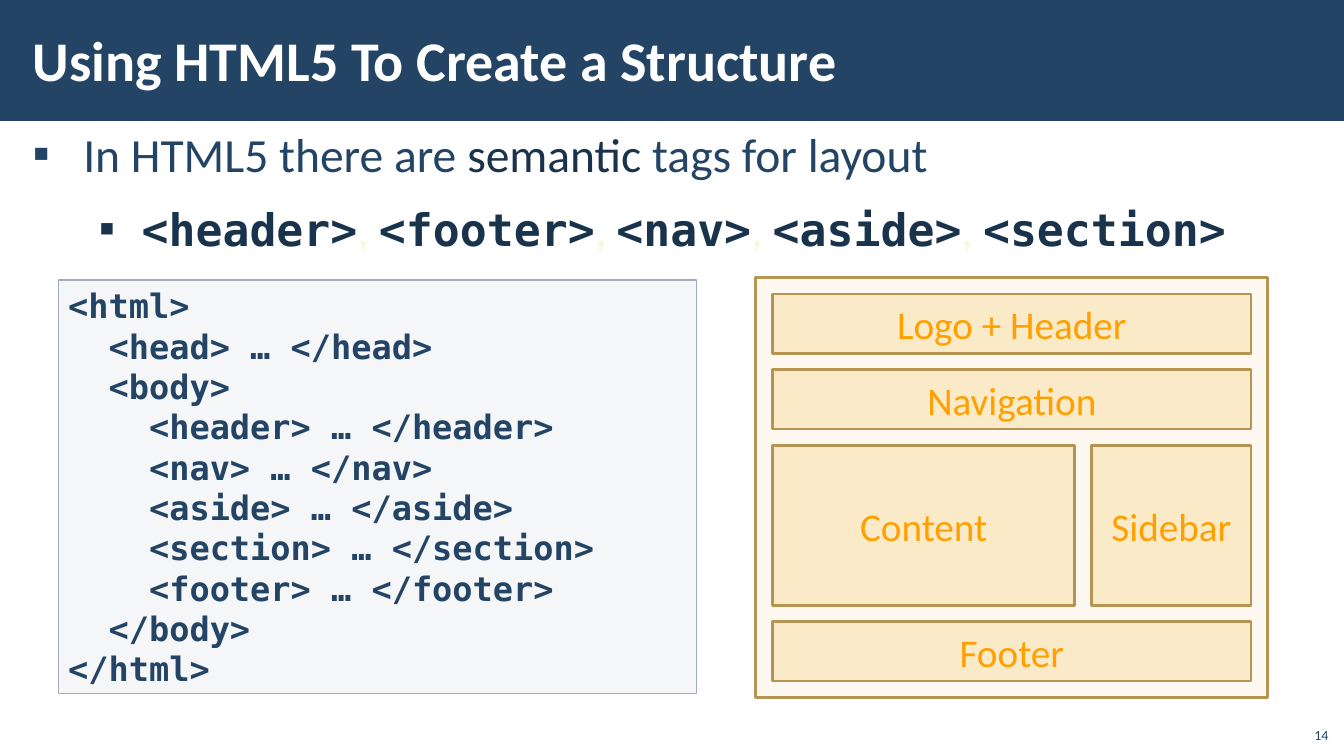
from lxml.etree import SubElement
from pptx import Presentation
from pptx.dml.color import RGBColor
from pptx.enum.shapes import MSO_SHAPE
from pptx.enum.text import MSO_ANCHOR, MSO_AUTO_SIZE, PP_ALIGN
from pptx.oxml.ns import qn
from pptx.util import Cm, Pt

NAVY = "234465"
DARK = "1A334C"
PALE = "EBFFD2"
SAND = "F7C86D"
BRONZE = "B79451"
ORANGE = "FFA000"
SANS = "Calibri"
MONO = "DejaVu Sans Mono"
TAGS = ["<header>", "<footer>", "<nav>", "<aside>", "<section>"]
CODE = """<html>
  <head> … </head>
  <body>
    <header> … </header>
    <nav> … </nav>
    <aside> … </aside>
    <section> … </section>
    <footer> … </footer>
  </body>
</html>"""


def color(value):
    """Turn a hex string into a colour."""
    return RGBColor.from_string(value)


def format_font(font, size, fill, name=SANS, bold=False):
    """Set size, colour, typeface and weight of a font."""
    font.size = Pt(size)
    font.color.rgb = color(fill)
    font.name = name
    font.bold = bold


def prepare_frame(frame, anchor, side, edge):
    """Set wrapping, anchor and insets of a text frame."""
    frame.word_wrap = True
    frame.auto_size = MSO_AUTO_SIZE.NONE
    frame.vertical_anchor = anchor
    frame.margin_left = frame.margin_right = Cm(side)
    frame.margin_top = frame.margin_bottom = Cm(edge)


def add_panel(slide, box, fill, opacity=100, line=None, width=2):
    """Add a flat rectangle with an optional outline and transparency."""
    shape = slide.shapes.add_shape(MSO_SHAPE.RECTANGLE, *map(Cm, box))
    shape.shadow.inherit = False
    shape.fill.solid()
    shape.fill.fore_color.rgb = color(fill)
    if opacity < 100:
        solid = shape.fill._xPr.find(qn("a:solidFill"))
        SubElement(solid[0], qn("a:alpha"), val=str(opacity * 1000))
    if line:
        shape.line.color.rgb = color(line)
        shape.line.width = Pt(width)
    else:
        shape.line.fill.background()
    return shape


def add_title_banner(slide, box, text):
    """Place the title on a dark band."""
    left, top, width, height = box
    add_panel(slide, box, NAVY)
    title = slide.shapes.title
    slide.shapes._spTree.append(title._element)
    title.left, title.top = Cm(left + 0.53), Cm(top + 0.28)
    title.width, title.height = Cm(26.39), Cm(height - 0.61)
    title.text_frame.text = text
    prepare_frame(title.text_frame, MSO_ANCHOR.MIDDLE, 0.3, 0.1)
    paragraph = title.text_frame.paragraphs[0]
    paragraph.alignment = PP_ALIGN.LEFT
    format_font(paragraph.runs[0].font, 40, "FFFFFF", bold=True)


def add_bullet(paragraph, level, indent, hanging, fill, runs):
    """Fill a paragraph with a square bullet and formatted runs."""
    properties = paragraph._p.get_or_add_pPr()
    properties.set("marL", str(Cm(indent)))
    properties.set("indent", str(-Cm(hanging)))
    bullet_color = SubElement(properties, qn("a:buClr"))
    SubElement(bullet_color, qn("a:srgbClr"), val=fill)
    SubElement(properties, qn("a:buFont"), typeface=SANS)
    SubElement(properties, qn("a:buChar"), char="▪")
    paragraph.level = level
    paragraph.line_spacing = 1.05
    paragraph.space_before = Pt(6 * level)
    paragraph.space_after = Pt(6)
    for text, *style in runs:
        run = paragraph.add_run()
        run.text = text
        format_font(run.font, *style)


def add_bullets(slide, box):
    """Place the two levels of bullets."""
    frame = slide.shapes.add_textbox(*map(Cm, box)).text_frame
    prepare_frame(frame, MSO_ANCHOR.TOP, 0.3, 0.1)
    sentence = [("In HTML5 there are ", 34, NAVY), ("semantic", 34, DARK),
                (" tags for layout", 34, NAVY)]
    tag_runs = []
    for tag in TAGS:
        if tag_runs:
            tag_runs.append((", ", 32, PALE))
        tag_runs.append((tag, 32, DARK, MONO, True))
    add_bullet(frame.paragraphs[0], 0, 1.27, 1.27, NAVY, sentence)
    add_bullet(frame.add_paragraph(), 1, 2.74, 1.07, DARK, tag_runs)


def add_layout_block(slide, box, label):
    """Add one labelled block of the page layout."""
    frame = add_panel(slide, box, SAND, 30, BRONZE).text_frame
    frame.text = label
    prepare_frame(frame, MSO_ANCHOR.MIDDLE, 0.25, 0.13)
    frame.paragraphs[0].alignment = PP_ALIGN.CENTER
    format_font(frame.paragraphs[0].runs[0].font, 28, ORANGE)


def add_page_layout(slide, box):
    """Draw the page frame with rows of blocks separated by equal gaps."""
    left, top, width, height = box
    gap, bar = 0.42, 1.49
    inner = width - 2 * gap
    middle = height - 3 * bar - 5 * gap
    rows = [(bar, [("Logo + Header", inner)]),
            (bar, [("Navigation", inner)]),
            (middle, [("Content", inner - gap - middle), ("Sidebar", middle)]),
            (bar, [("Footer", inner)])]
    add_panel(slide, box, SAND, 10, BRONZE)
    y = top + gap
    for row_height, blocks in rows:
        x = left + gap
        for label, block_width in blocks:
            add_layout_block(slide, (x, y, block_width, row_height), label)
            x += block_width + gap
        y += row_height + gap


def add_code(slide, box):
    """Place the HTML listing in a light panel."""
    frame = add_panel(slide, box, "C2C7D2", 15, "A3ABBC", 1).text_frame
    frame.text = CODE
    prepare_frame(frame, MSO_ANCHOR.TOP, 0.25, 0.13)
    for paragraph in frame.paragraphs:
        paragraph.alignment = PP_ALIGN.LEFT
        format_font(paragraph.runs[0].font, 24, NAVY, MONO, True)


def add_page_number(slide, box, number):
    """Place the page number."""
    frame = slide.shapes.add_textbox(*map(Cm, box)).text_frame
    frame.text = number
    prepare_frame(frame, MSO_ANCHOR.MIDDLE, 0.1, 0.1)
    frame.paragraphs[0].alignment = PP_ALIGN.RIGHT
    format_font(frame.paragraphs[0].runs[0].font, 10, NAVY)


def main():
    """Build and save the slide."""
    presentation = Presentation()
    presentation.slide_width = Cm(33.87)
    presentation.slide_height = Cm(19.05)
    slide = presentation.slides.add_slide(presentation.slide_layouts[5])
    add_title_banner(slide, (0, 0, 33.87, 3.05), "Using HTML5 To Create a Structure")
    add_bullets(slide, (0.53, 2.97, 32.79, 15.47))
    add_page_number(slide, (31.88, 18.21, 1.7, 0.64), "14")
    add_page_layout(slide, (19.05, 6.99, 12.9, 10.59))
    add_code(slide, (1.47, 7.06, 16.08, 10.41))
    presentation.save("out.pptx")


if __name__ == "__main__":
    main()
